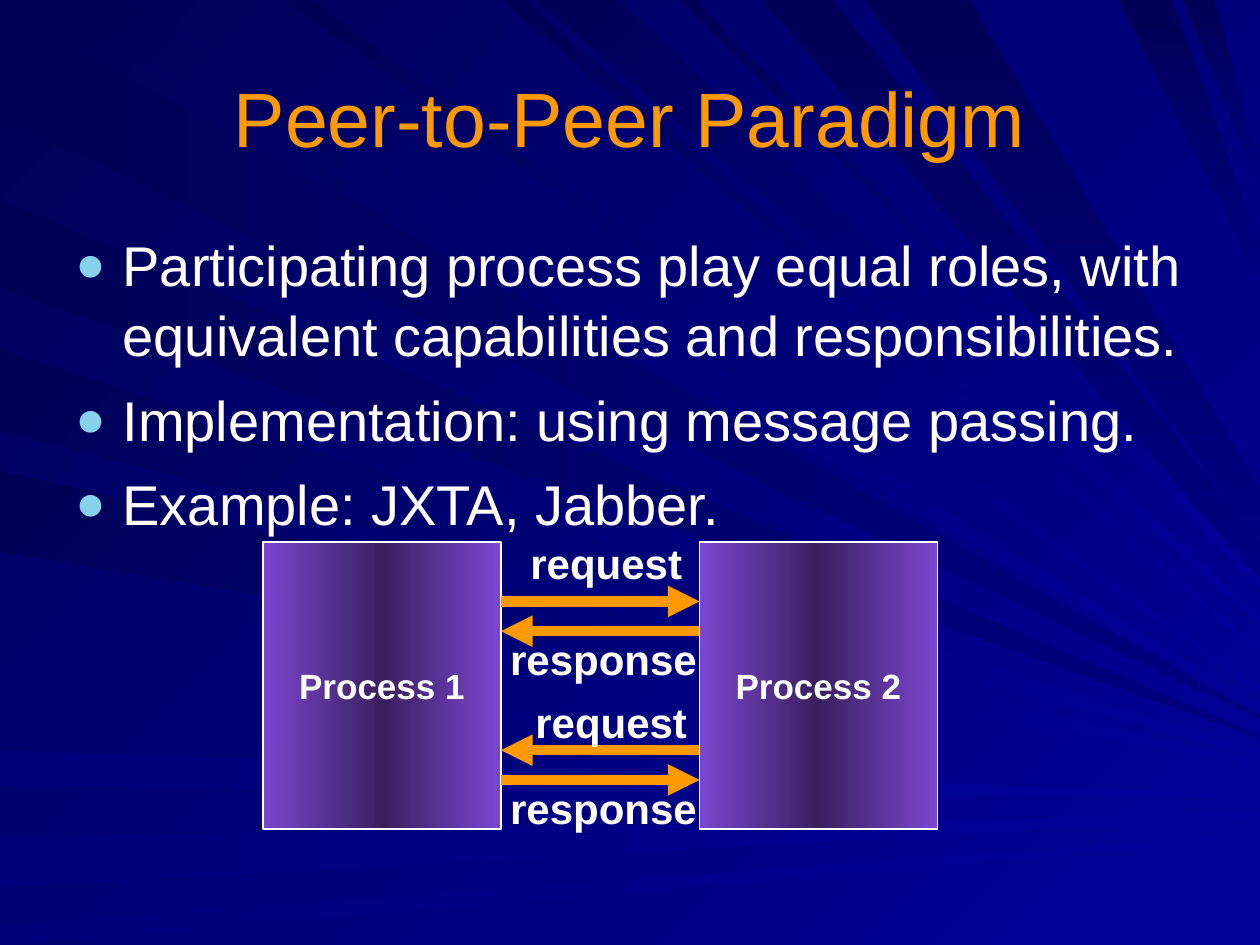
from copy import deepcopy

from lxml.etree import SubElement
from pptx import Presentation
from pptx.dml.color import RGBColor
from pptx.enum.shapes import MSO_CONNECTOR, MSO_SHAPE
from pptx.enum.text import MSO_ANCHOR, MSO_AUTO_SIZE, PP_ALIGN
from pptx.oxml.ns import qn
from pptx.util import Pt

WHITE = RGBColor(0xFF, 0xFF, 0xFF)
ORANGE = RGBColor(0xFF, 0x99, 0x00)
PURPLE = RGBColor(0x7B, 0x46, 0xD0)
PLUM = RGBColor(0x38, 0x20, 0x5F)
BLUE = RGBColor(0x00, 0x00, 0x99)
NAVY = RGBColor(0x00, 0x00, 0x80)
DUSK = RGBColor(0x00, 0x00, 0x78)
NIGHT = RGBColor(0x00, 0x00, 0x57)
BULLET_COLOR = "86D1EC"
FONT = "Arial"
WIDTH, HEIGHT = 720, 540

# Content
TITLE = "Peer-to-Peer Paradigm"
BULLETS = [
    "Participating process play equal roles, with equivalent capabilities and responsibilities.",
    "Implementation: using message passing.",
    "Example: JXTA, Jabber.",
]
PROCESSES = ["Process 1", "Process 2"]
# label, left, top, arrow row, goes right
MESSAGES = [
    ("request", 296, 303.8, 2, True),
    ("response", 284.4, 358.6, 3, False),
    ("request", 298.8, 394.6, 7, False),
    ("response", 284.4, 443.5, 8, True),
]

# Background fans: start colour, end colour, clockwise angle, edge they leave,
# rays as (from, to) on that edge and the height where they meet the right edge
FANS = [
    (NAVY, NIGHT, 180, "left", [(2, 67, 410), (114, 164, 421)]),
    (BLUE, NIGHT, 225, "left", [(200, 246, 431), (269, 315, 436)]),
    (BLUE, DUSK, 180, "left", [(429, 449, 455), (479, 507, 466), (529, 540, 478)]),
    (BLUE, NIGHT, 225, "top", [(19, 73, 405), (162, 178, 395), (287, 300, 373),
                               (307, 354, 355), (389, 397, 333)]),
    (NIGHT, NAVY, 90, "top", [(436, 476, 321), (494, 554, 295), (639, 670, 151),
                              (676, 694, 101)]),
]

# Diagram geometry
BOX_LEFTS = [150.3, 399.7]
BOX_TOP, BOX_W, BOX_H = 309.7, 136, 164
ROW = 17


def set_gradient(fill, start, end, angle):
    fill.gradient()
    fill.gradient_angle = (360 - angle) % 360
    for stop, color in zip(fill.gradient_stops, (start, end)):
        stop.color.rgb = color


def style(p, size, color=WHITE, bold=False):
    for r in p.runs:
        r.font.name, r.font.size, r.font.bold = FONT, Pt(size), bold
        r.font.color.rgb = color


def add_bullet(p):
    pPr = p._p.get_or_add_pPr()
    pPr.set("marL", str(Pt(27)))
    pPr.set("indent", str(Pt(-27)))
    SubElement(SubElement(pPr, qn("a:buClr")), qn("a:srgbClr"), val=BULLET_COLOR)
    SubElement(pPr, qn("a:buSzPct"), val="90000")
    SubElement(pPr, qn("a:buFont"), typeface=FONT)
    SubElement(pPr, qn("a:buChar"), char="●")


prs = Presentation()
prs.slide_width, prs.slide_height = Pt(WIDTH), Pt(HEIGHT)
s = prs.slides.add_slide(prs.slide_layouts[5])

# Background and rays, placed behind the title
set_gradient(s.background.fill, BLUE, NIGHT, 225)
group = s.shapes.add_group_shape()
for start, end, angle, edge, rays in FANS:
    for a, b, meet in rays:
        # Steep rays stay wide, flat ones narrow almost to a point
        spread = (b - a) / 4 if edge == "top" and a > WIDTH / 2 else 1
        near, far = ((a, 0), (b, 0)) if edge == "top" else ((0, b), (0, a))
        builder = group.shapes.build_freeform(*near, scale=Pt(1))
        builder.add_line_segments([(WIDTH, meet + spread), (WIDTH, meet - spread), far])
        ray = builder.convert_to_shape()
        ray.shadow.inherit = False
        ray.line.fill.background()
        set_gradient(ray.fill, start, end, angle)
s.shapes._spTree.insert(2, group._element)

# Title
title = s.shapes.title
title.left, title.top, title.width, title.height = Pt(36), Pt(21.6), Pt(648), Pt(90)
tf = title.text_frame
tf.text = TITLE
tf.vertical_anchor = MSO_ANCHOR.MIDDLE
tf.paragraphs[0].alignment = PP_ALIGN.CENTER
style(tf.paragraphs[0], 44, ORANGE)

# Bullet list
tf = s.shapes.add_textbox(Pt(36), Pt(126), Pt(648), Pt(356.4)).text_frame
tf.word_wrap = True
tf.text = "\n".join(BULLETS)
for p in tf.paragraphs:
    p.space_before = Pt(8)
    p.line_spacing = 1.05
    add_bullet(p)
    style(p, 32)

# Process boxes
for name, left in zip(PROCESSES, BOX_LEFTS):
    sp = s.shapes.add_shape(MSO_SHAPE.RECTANGLE, Pt(left), Pt(BOX_TOP), Pt(BOX_W), Pt(BOX_H))
    sp.shadow.inherit = False
    set_gradient(sp.fill, PURPLE, PURPLE, 180)
    stops = sp._element.spPr.find(qn("a:gradFill")).find(qn("a:gsLst"))
    stops.insert(1, deepcopy(stops[0]))
    middle = sp.fill.gradient_stops[1]
    middle.position, middle.color.rgb = 0.5, PLUM
    sp.line.color.rgb, sp.line.width = WHITE, Pt(0.75)
    tf = sp.text_frame
    tf.word_wrap = False
    tf.text = name
    tf.vertical_anchor = MSO_ANCHOR.MIDDLE
    tf.paragraphs[0].alignment = PP_ALIGN.CENTER
    style(tf.paragraphs[0], 20, bold=True)

# Message arrows and labels
for label, left, top, row, goes_right in MESSAGES:
    ends = [BOX_LEFTS[0] + BOX_W, BOX_LEFTS[1]]
    x1, x2 = ends if goes_right else ends[::-1]
    y = Pt(BOX_TOP + row * ROW)
    arrow = s.shapes.add_connector(MSO_CONNECTOR.STRAIGHT, Pt(x1), y, Pt(x2), y)
    arrow.line.color.rgb, arrow.line.width = ORANGE, Pt(6)
    SubElement(arrow.line._get_or_add_ln(), qn("a:tailEnd"), type="triangle")
    SubElement(arrow._element.spPr, qn("a:effectLst"))
    width = 101 if label == "request" else 121
    tf = s.shapes.add_textbox(Pt(left), Pt(top), Pt(width), Pt(36)).text_frame
    tf.word_wrap = False
    tf.auto_size = MSO_AUTO_SIZE.SHAPE_TO_FIT_TEXT
    tf.text = label
    style(tf.paragraphs[0], 24, bold=True)

prs.save("out.pptx")
